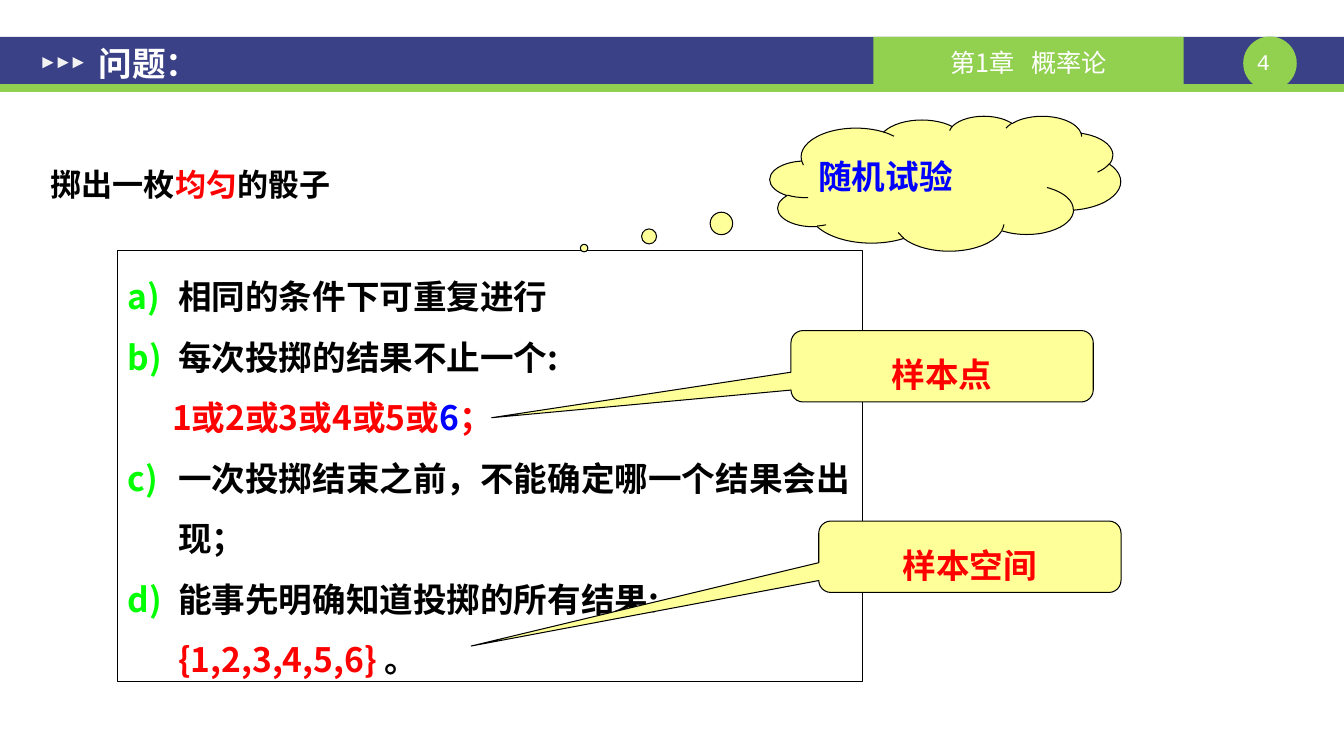
from lxml import etree
from pptx import Presentation
from pptx.dml.color import RGBColor
from pptx.enum import shapes, text
from pptx.oxml import ns
from pptx.util import Cm, Pt

NAVY = RGBColor(0x3A, 0x41, 0x87)
GREEN = RGBColor(0x92, 0xD0, 0x50)
PALE = RGBColor(0xF2, 0xF2, 0xF2)
WHITE = RGBColor(0xFF, 0xFF, 0xFF)
YELLOW = RGBColor(0xFF, 0xFF, 0x99)
BLACK = RGBColor(0, 0, 0)
RED = RGBColor(0xFF, 0, 0)
BLUE = RGBColor(0, 0, 0xFF)
BULLET_GREEN = "00FF00"
CJK = "Noto Sans CJK SC"
FORM = shapes.MSO_SHAPE
ALIGN = text.PP_ALIGN
ANCHOR = text.MSO_ANCHOR


def add_form(slide, kind, place, fill=None, outlined=False):
    form = slide.shapes.add_shape(kind, *map(Cm, place))
    form.shadow.inherit = False
    if fill is None:
        form.fill.background()
    else:
        form.fill.solid()
        form.fill.fore_color.rgb = fill
    if outlined:
        form.line.color.rgb = BLACK
        form.line.width = Pt(0.75)
    else:
        form.line.fill.background()
    return form


def set_frame(shape, insets=(0, 0, 0, 0), anchor=ANCHOR.TOP):
    frame = shape.text_frame
    frame.word_wrap = True
    frame.vertical_anchor = anchor
    (frame.margin_left, frame.margin_top,
     frame.margin_right, frame.margin_bottom) = map(Cm, insets)
    return frame


def write(paragraph, parts, size=24, font=CJK, bold=True, spacing=1.5,
          align=ALIGN.LEFT):
    """Fill a paragraph with (wording, colour) parts."""
    paragraph.alignment = align
    paragraph.line_spacing = spacing
    for wording, colour in parts:
        run = paragraph.add_run()
        run.text = wording
        run.font.size = Pt(size)
        run.font.bold = bold
        run.font.color.rgb = colour
        run.font.name = font
        east_asian = etree.SubElement(run.font._element, ns.qn("a:ea"))
        east_asian.set("typeface", CJK)


def indent(paragraph, left, first):
    props = paragraph._p.get_or_add_pPr()
    props.set("marL", str(Cm(left)))
    props.set("indent", str(Cm(first)))
    return props


def letter(paragraph, start):
    """Number a paragraph as a), b), c) with a green letter."""
    props = indent(paragraph, 1.27, -1.27)
    colour = etree.SubElement(props, ns.qn("a:buClr"))
    etree.SubElement(colour, ns.qn("a:srgbClr")).set("val", BULLET_GREEN)
    number = etree.SubElement(props, ns.qn("a:buAutoNum"))
    number.set("type", "alphaLcParenR")
    number.set("startAt", str(start))


def add_text(slide, place, parts, insets=(0, 0, 0, 0), anchor=ANCHOR.TOP,
             **style):
    box = slide.shapes.add_textbox(*map(Cm, place))
    write(set_frame(box, insets, anchor).paragraphs[0], parts, **style)


def add_callout(slide, kind, place, tip, part, align=ALIGN.CENTER):
    callout = add_form(slide, kind, place, YELLOW, outlined=True)
    for index, value in enumerate(tip):
        callout.adjustments[index] = value
    write(set_frame(callout).paragraphs[0], [part], align=align)


def add_header(slide):
    # Bands, page badge and chapter tab
    add_form(slide, FORM.RECTANGLE, (0, 0.93, 33.88, 1.2), NAVY)
    add_form(slide, FORM.RECTANGLE, (0, 2.12, 33.88, 0.2), GREEN)
    add_form(slide, FORM.OVAL, (31.34, 0.92, 1.35, 1.35), GREEN)
    add_text(slide, (31.34, 1.22, 1.35, 0.69), [("4 ", WHITE)], size=16,
             font="Courier New", bold=False, spacing=1, align=ALIGN.CENTER)
    tab = add_form(slide, FORM.RECTANGLE, (22.02, 0.93, 7.82, 1.2), GREEN)
    chapter = set_frame(tab, (0.25, 0.1, 0.25, 0), ANCHOR.MIDDLE).paragraphs[0]
    write(chapter, [("第1章", WHITE), (" ", WHITE), ("概率论", WHITE)],
          size=18, bold=False, spacing=1, align=ALIGN.CENTER)
    chapter.runs[1].font._element.set("spc", "800")

    # Arrow marks and title
    for index in range(3):
        mark = add_form(slide, FORM.ISOSCELES_TRIANGLE,
                        (1.07 + 0.38 * index, 1.44, 0.28, 0.28), PALE)
        mark.rotation = 90
    add_text(slide, (2.16, 0.99, 14.81, 1.19), [("问题：", WHITE)],
             (0.33, 0.18, 0.33, 0.18), ANCHOR.MIDDLE, font="Arial", spacing=1)


def add_conditions(slide):
    panel = add_form(slide, FORM.RECTANGLE, (2.97, 6.32, 18.77, 10.85),
                     outlined=True)
    frame = set_frame(panel, (0.25, 0.13, 0.25, 0.13))
    conditions = [
        (1, [("相同的条件下可重复进行", BLACK)]),
        (1, [("每次投掷的结果不止一个:", BLACK)]),
        (None, [("1或2或3或4或5或", RED), ("6", BLUE), ("；", RED)]),
        (3, [("一次投掷结束之前，不能确定哪一个结果会出现；", BLACK)]),
        (3, [("能事先明确知道投掷的所有结果:", BLACK),
             ("{1,2,3,4,5,6} ", RED), ("。", BLACK)]),
    ]
    for index, (start, parts) in enumerate(conditions):
        paragraph = frame.add_paragraph() if index else frame.paragraphs[0]
        write(paragraph, parts)
        if start:
            letter(paragraph, start)
        else:
            indent(paragraph, 1.12, 0)


def main():
    deck = Presentation()
    deck.slide_width, deck.slide_height = Cm(33.88), Cm(19.05)
    slide = deck.slides.add_slide(deck.slide_layouts[6])

    add_header(slide)

    # Question and its conditions
    add_text(slide, (0.95, 3.53, 26.5, 1.63),
             [("掷出一枚", BLACK), ("均匀", RED), ("的骰子", BLACK)],
             (0.33, 0.18, 0.33, 0.18), size=22.2)
    add_conditions(slide)

    # Terms
    add_callout(slide, FORM.CLOUD_CALLOUT, (19.41, 2.92, 8.84, 3.4),
                (-1.03, 0.48), ("随机试验", BLUE), ALIGN.LEFT)
    add_callout(slide, FORM.ROUNDED_RECTANGULAR_CALLOUT,
                (19.94, 8.33, 7.62, 1.8), (-1.49, 0.72, 0.17), ("样本点", RED))
    add_callout(slide, FORM.ROUNDED_RECTANGULAR_CALLOUT,
                (20.64, 13.13, 7.62, 1.8), (-1.65, 1.25, 0.17),
                ("样本空间", RED))
    deck.save("out.pptx")


if __name__ == "__main__":
    main()
